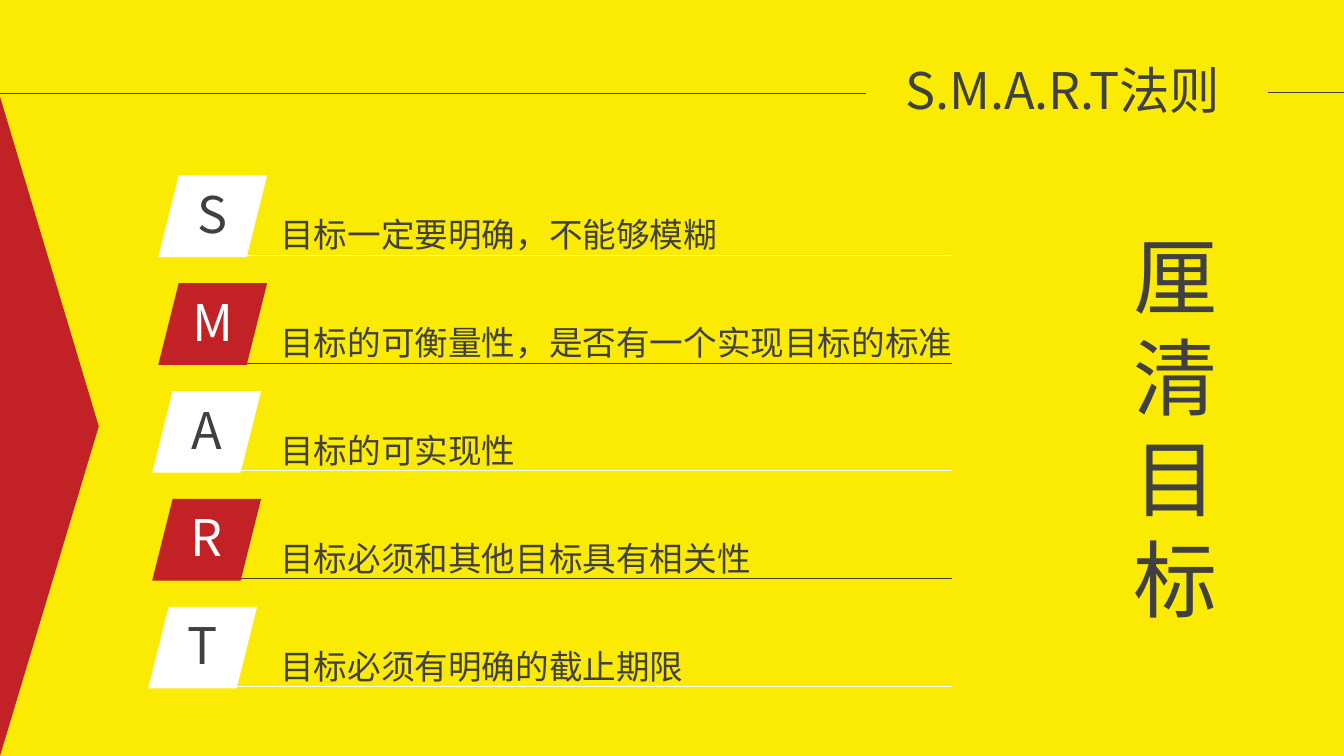
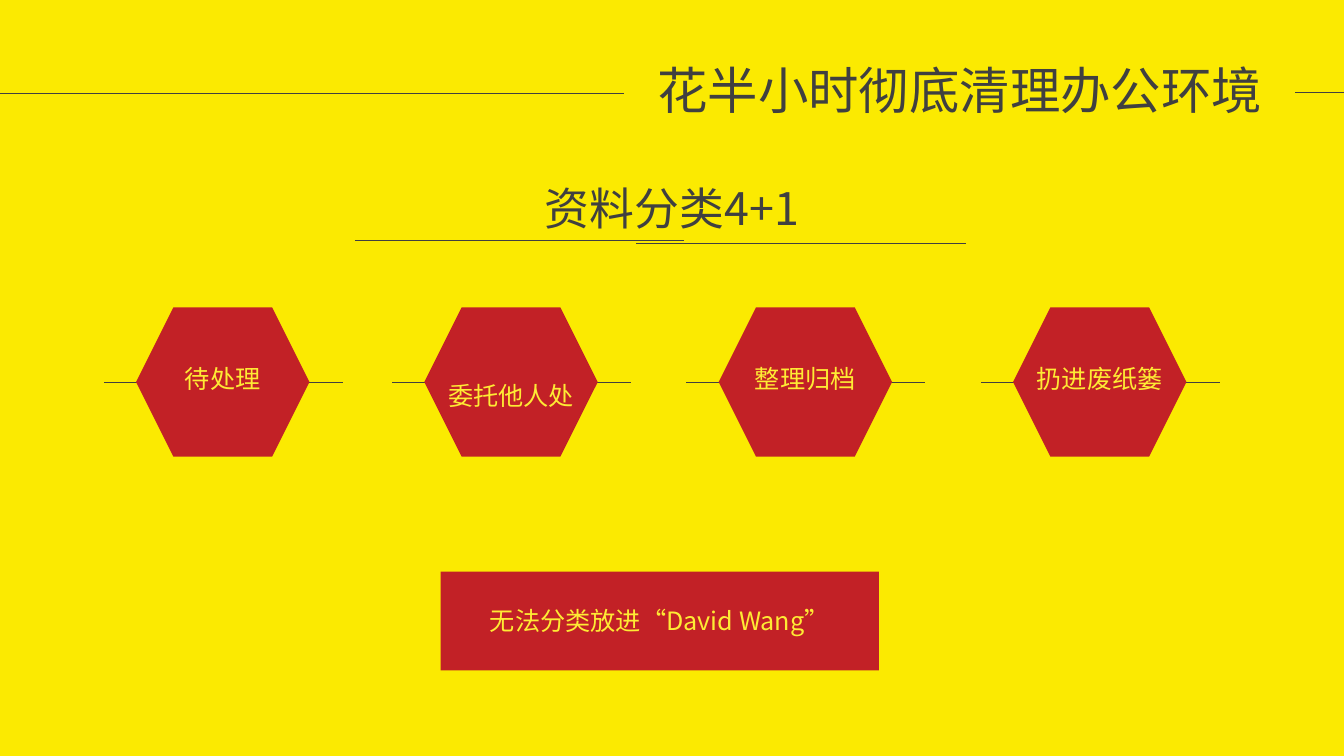
from dataclasses import dataclass

from lxml import etree
from pptx import Presentation
from pptx.dml.color import RGBColor
from pptx.enum.shapes import MSO_CONNECTOR, MSO_SHAPE
from pptx.enum.text import MSO_ANCHOR, MSO_AUTO_SIZE, PP_ALIGN
from pptx.oxml.ns import qn
from pptx.util import Inches, Pt

LEFT, CENTER = PP_ALIGN.LEFT, PP_ALIGN.CENTER
TOP, MIDDLE = MSO_ANCHOR.TOP, MSO_ANCHOR.MIDDLE
TRIANGLE, PARALLELOGRAM = MSO_SHAPE.ISOSCELES_TRIANGLE, MSO_SHAPE.PARALLELOGRAM
HEXAGON, RECTANGLE = MSO_SHAPE.HEXAGON, MSO_SHAPE.RECTANGLE
STRAIGHT = MSO_CONNECTOR.STRAIGHT
NO_AUTOFIT = MSO_AUTO_SIZE.NONE
LIST_LAYOUT, TITLE_LAYOUT = 1, 5

# The grid has square cells of a tenth of an inch
COLUMNS, ROWS = 133.33, 75


def cells(count):
    return Inches(count / 10)


@dataclass(frozen=True)
class Theme:
    font: str = "Noto Sans CJK SC"
    yellow: str = "FBEA01"
    red: str = "C22126"
    white: str = "FFFFFF"
    ink: str = "404040"
    label: str = "FEEB34"
    title_size: int = 36
    subtitle_size: int = 32
    list_size: int = 24
    label_size: int = 18
    banner_size: int = 60
    rule_width: float = 0.5


THEME = Theme()


def write(frame, *lines, size, color=THEME.ink, align=LEFT, anchor=MIDDLE,
          wrap=True, nudge=0, line_points=None, gap_points=0):
    """Fill a text frame; nudge moves centred text down by that many rows."""
    frame.auto_size = NO_AUTOFIT
    frame.word_wrap = wrap
    frame.vertical_anchor = anchor
    frame.margin_left = frame.margin_right = 0
    frame.margin_top = cells(max(0, 2 * nudge))
    frame.margin_bottom = cells(max(0, -2 * nudge))
    for index, line in enumerate(lines):
        paragraph = frame.add_paragraph() if index else frame.paragraphs[0]
        paragraph.alignment = align
        paragraph.space_before = Pt(gap_points if index else 0)
        if line_points:
            paragraph.line_spacing = Pt(line_points)
        properties = paragraph._p.get_or_add_pPr()
        properties.set("marL", "0")
        properties.set("indent", "0")
        etree.SubElement(properties, qn("a:buNone"))
        run = paragraph.add_run()
        run.text = line
        run.font.size = Pt(size)
        run.font.name = THEME.font
        run.font.color.rgb = RGBColor.from_string(color)
        east_asian = etree.SubElement(run._r.get_or_add_rPr(), qn("a:ea"))
        east_asian.set("typeface", THEME.font)


class Deck:
    def __init__(self, theme):
        self.theme = theme
        self.presentation = Presentation()
        self.presentation.slide_width = cells(COLUMNS)
        self.presentation.slide_height = cells(ROWS)
        background = self.presentation.slide_master.background.fill
        background.solid()
        background.fore_color.rgb = RGBColor.from_string(theme.yellow)
        self.slide = None

    def place(self, holder, column, row, width, height):
        holder.left, holder.top = cells(column), cells(row)
        holder.width, holder.height = cells(width), cells(height)

    def start(self, layout, title, column, width, left_rule_end, right_rule_start):
        """Open a slide with its title between two rules."""
        layouts = self.presentation.slide_layouts
        self.slide = self.presentation.slides.add_slide(layouts[layout])
        heading = self.slide.shapes.title
        self.place(heading, column, 5.3, width, 7.1)
        write(heading.text_frame, title, size=self.theme.title_size)
        self.rule(0, 9.3, left_rule_end)
        self.rule(right_rule_start, 9.15, COLUMNS)

    def rule(self, start, row, end, color=None):
        line = self.slide.shapes.add_connector(
            STRAIGHT, cells(start), cells(row), cells(end), cells(row))
        line.line.color.rgb = RGBColor.from_string(color or self.theme.ink)
        line.line.width = Pt(self.theme.rule_width)
        etree.SubElement(line._element.spPr, qn("a:effectLst"))

    def block(self, kind, column, row, width, height, fill, text=None, **style):
        shape = self.slide.shapes.add_shape(
            kind, cells(column), cells(row), cells(width), cells(height))
        shape.shadow.inherit = False
        shape.fill.solid()
        shape.fill.fore_color.rgb = RGBColor.from_string(fill)
        shape.line.fill.background()
        if text:
            write(shape.text_frame, text, align=CENTER, wrap=False, **style)
        return shape

    def text(self, content, column, row, width, height, **style):
        box = self.slide.shapes.add_textbox(
            cells(column), cells(row), cells(width), cells(height))
        write(box.text_frame, content, **style)

    def listing(self, lines, column, row, width, height, **style):
        body = self.slide.placeholders[1]
        self.place(body, column, row, width, height)
        write(body.text_frame, *lines, anchor=TOP, **style)


def smart_slide(deck):
    theme = deck.theme
    deck.start(LIST_LAYOUT, "S.M.A.R.T法则", 89.8, 36, 85.9, 125.8)
    deck.block(TRIANGLE, -27.8, 37.4, 65.4, 9.8, theme.red).rotation = 90

    # Letter tiles, alternating white and red, each with an underline
    pitch = 10.7
    tile_columns = {"S": 15.7, "M": 15.7, "A": 15.1, "R": 15.1, "T": 14.7}
    for index, (letter, column) in enumerate(tile_columns.items()):
        row = 17.4 + index * pitch
        tile, ink, rule = ((theme.red, theme.white, theme.ink) if index % 2
                           else (theme.white, theme.ink, theme.white))
        deck.rule(21, row + 7.9, 94.4, rule)
        deck.block(PARALLELOGRAM, column, row, 10.8, 8.1, tile, letter,
                   size=theme.title_size, color=ink, nudge=-0.3)

    # One criterion per tile
    criteria = ["目标一定要明确，不能够模糊",
                "目标的可衡量性，是否有一个实现目标的标准",
                "目标的可实现性",
                "目标必须和其他目标具有相关性",
                "目标必须有明确的截止期限"]
    deck.listing(criteria, 27.8, 21.1, 68, 48,
                 size=theme.list_size, line_points=30, gap_points=47)

    # Vertical banner: the column holds one character a line
    deck.text("厘清目标", 112.5, 22.3, 10, 40, size=theme.banner_size,
              anchor=TOP, line_points=72)


def sorting_slide(deck):
    theme = deck.theme
    deck.start(TITLE_LAYOUT, "花半小时彻底清理办公环境", 65.2, 62.4, 61.9, 128.5)

    # Subtitle with two overlapping underlines
    deck.text("资料分类4+1", 0, 17.4, COLUMNS, 6.4,
              size=theme.subtitle_size, align=CENTER)
    for start, row in ((35.2, 23.8), (63.1, 24.1)):
        deck.rule(start, row, start + 32.7)

    # Four categories on short rules: column, name, vertical shift
    categories = [(13.5, "待处理", -0.4), (42.1, "委托他人处", 1.3),
                  (71.3, "整理归档", -0.4), (100.5, "扔进废纸篓", -0.4)]
    for column, category, shift in categories:
        deck.rule(column - 3.2, 37.9, column + 20.5)
        deck.block(HEXAGON, column, 30.5, 17.2, 14.8, theme.red, category,
                   size=theme.label_size, color=theme.label, nudge=shift)

    # The extra category
    deck.block(RECTANGLE, 43.7, 56.7, 43.5, 9.8, theme.red,
               "无法分类放进“David Wang”",
               size=theme.label_size, color=theme.label, nudge=-0.1)


def main():
    deck = Deck(THEME)
    smart_slide(deck)
    sorting_slide(deck)
    deck.presentation.save("out.pptx")


if __name__ == "__main__":
    main()
